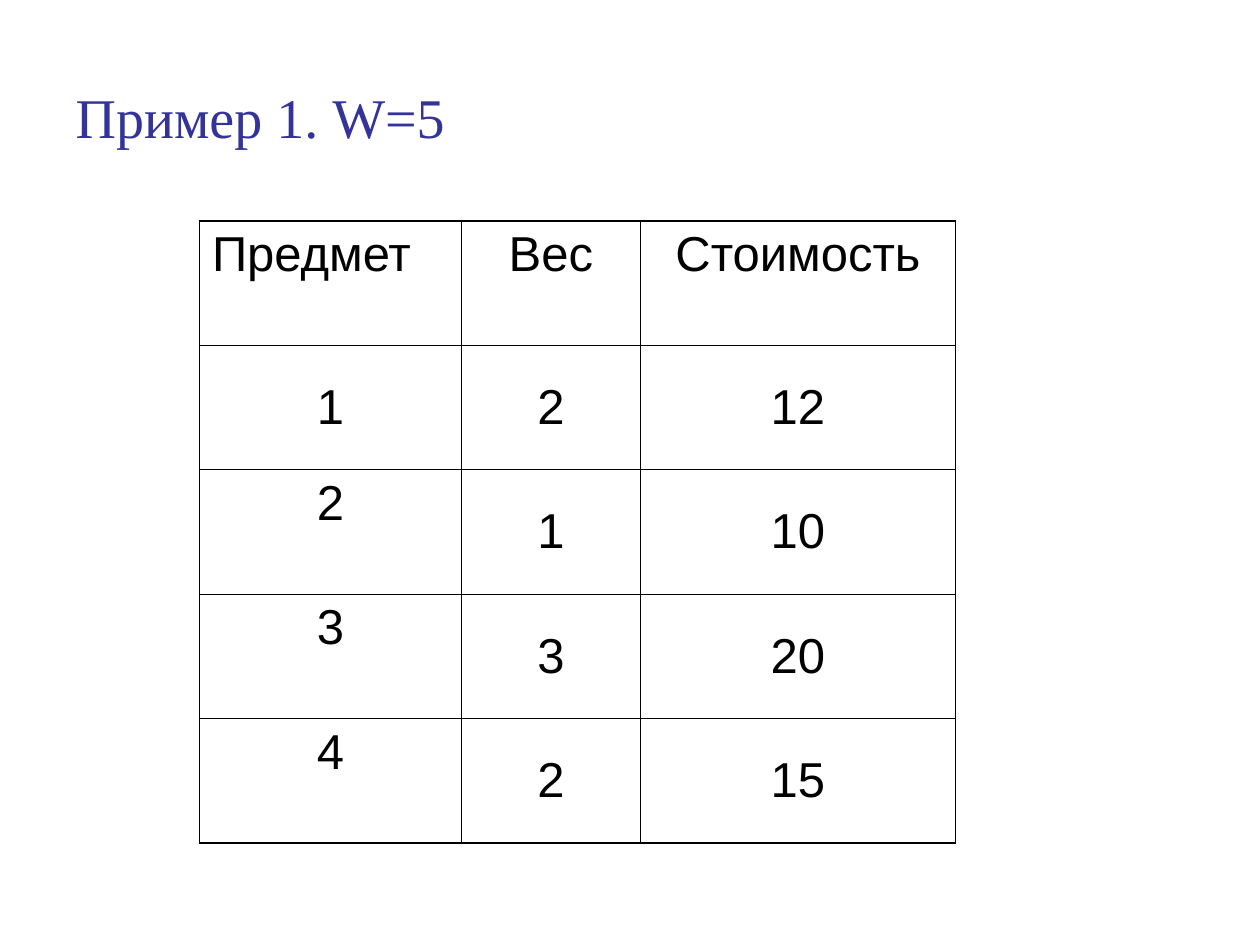
from lxml import etree
from pptx import Presentation
from pptx import util as u
from pptx.dml.color import RGBColor
from pptx.enum import text as t
from pptx.oxml import ns

HUES = {"title": "333399", "ink": "000000", "page": "FFFFFF"}
THIN, THICK = 0.45, 1.08  # rule widths in points
ROWS = [
    ("Предмет", "Вес", "Стоимость"),
    ("1", "2", "12"),
    ("2", "1", "10"),
    ("3", "3", "20"),
    ("4", "2", "15"),
]
COLS = (5.28, 3.61, 6.35)
HIGH = 2.51


def write(frame, words, size=28, font="Arial", hue="ink",
          align=t.PP_ALIGN.CENTER, gap=0):
    para = frame.paragraphs[0]
    para.alignment = align
    para.space_before = u.Pt(gap)
    run = para.add_run()
    run.text = words
    run.font.size = u.Pt(size)
    run.font.name = font
    run.font.color.rgb = RGBColor.from_string(HUES[hue])


def edge(cell, side, width):
    props = cell._tc.get_or_add_tcPr()
    line = etree.SubElement(props, ns.qn("a:ln" + side), w=str(u.Pt(width)))
    fill = etree.SubElement(line, ns.qn("a:solidFill"))
    etree.SubElement(fill, ns.qn("a:srgbClr"), val=HUES["ink"])


def add_title(slide, words):
    title = slide.shapes.title
    title.left, title.top = u.Cm(1.27), u.Cm(0.76)
    title.width, title.height = u.Cm(22.86), u.Cm(3.18)
    frame = title.text_frame
    frame.auto_size = t.MSO_AUTO_SIZE.NONE
    frame.vertical_anchor = t.MSO_ANCHOR.MIDDLE
    write(frame, words, size=32, font="Times New Roman", hue="title",
          align=t.PP_ALIGN.LEFT)


def add_grid(slide, rows):
    grid = slide.shapes.add_table(
        len(rows), len(COLS), u.Cm(4.02), u.Cm(4.45),
        u.Cm(sum(COLS)), u.Cm(HIGH * len(rows))).table
    grid.first_row = grid.horz_banding = False
    for col, width in zip(grid.columns, COLS):
        col.width = u.Cm(width)

    for r, row in enumerate(rows):
        grid.rows[r].height = u.Cm(HIGH)
        for c, words in enumerate(row):
            cell = grid.cell(r, c)
            # The header and the item numbers after the first sit at the top
            high = r == 0 or (c == 0 and r > 1)
            cell.vertical_anchor = (
                t.MSO_ANCHOR.TOP if high else t.MSO_ANCHOR.MIDDLE)
            left = r == 0 and c == 0
            write(cell.text_frame, words, gap=7,
                  align=t.PP_ALIGN.LEFT if left else t.PP_ALIGN.CENTER)
            # Thick rules outside, thin rules inside
            outer = {"L": c == 0, "R": c == len(COLS) - 1,
                     "T": r == 0, "B": r == len(rows) - 1}
            for side, thick in outer.items():
                edge(cell, side, THICK if thick else THIN)
            cell.fill.background()


def main():
    deck = Presentation()
    deck.slide_width, deck.slide_height = u.Cm(25.4), u.Cm(19.05)
    slide = deck.slides.add_slide(deck.slide_layouts[5])
    back = slide.background.fill
    back.solid()
    back.fore_color.rgb = RGBColor.from_string(HUES["page"])
    add_title(slide, "Пример 1. W=5")
    add_grid(slide, ROWS)
    deck.save("out.pptx")


if __name__ == "__main__":
    main()
